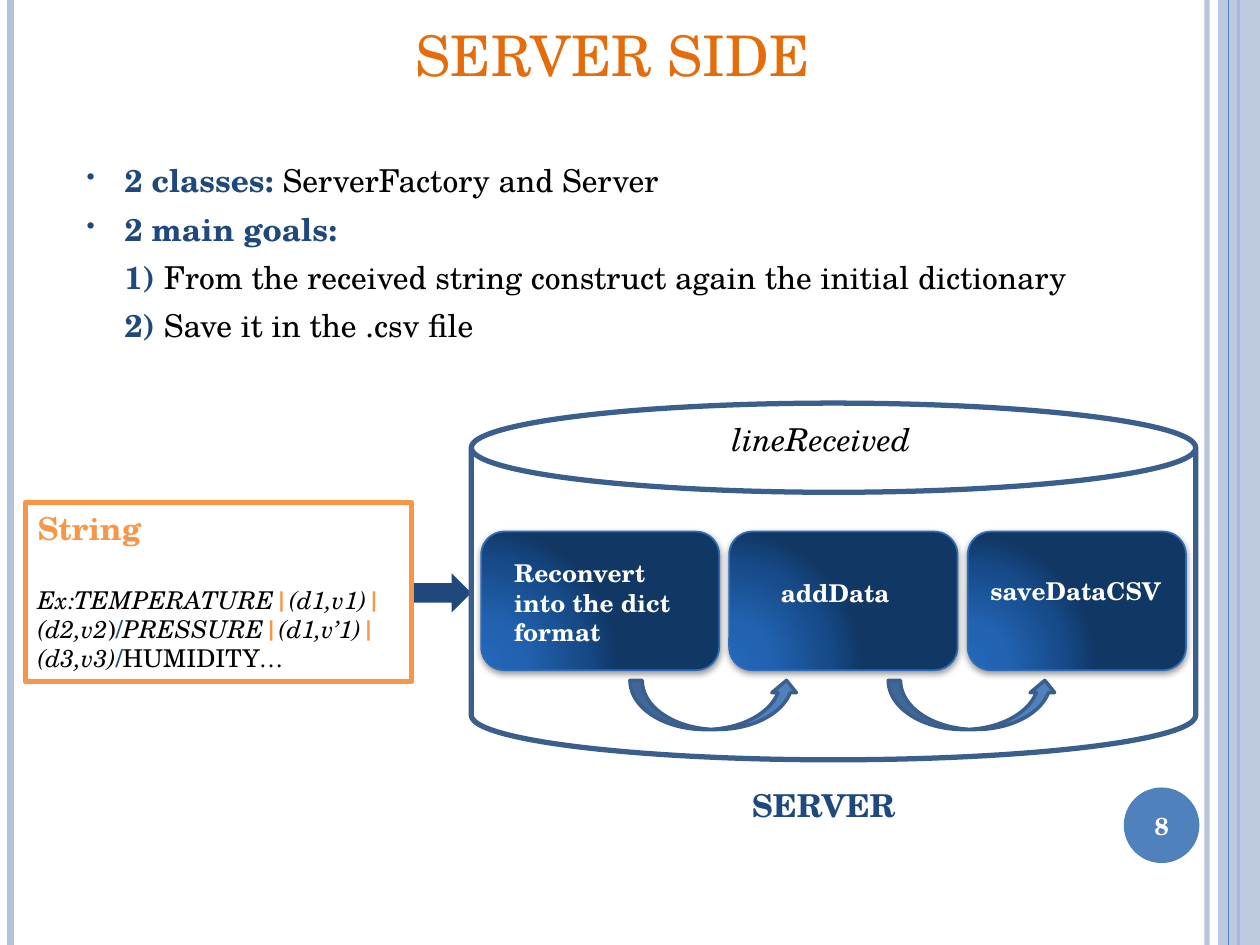
from dataclasses import dataclass
from typing import Optional

from lxml.etree import SubElement
from pptx import Presentation
from pptx.dml.color import RGBColor
from pptx.enum.shapes import MSO_CONNECTOR, MSO_SHAPE as Shape
from pptx.enum.text import MSO_ANCHOR as Anchor, PP_ALIGN as Align
from pptx.oxml.ns import qn
from pptx.util import Pt

FONT = "TeX Gyre Schola"
NAVY = RGBColor(0x1F, 0x49, 0x7D)
BLUE = RGBColor(0x4F, 0x81, 0xBD)
OUTLINE = RGBColor(0x3A, 0x5F, 0x8C)
PALE = RGBColor(0xB3, 0xC1, 0xDB)
STEP_EDGE = RGBColor(0x2C, 0x6C, 0xB9)
ORANGE = RGBColor(0xF7, 0x96, 0x46)
TITLE_ORANGE = RGBColor(0xE4, 0x6C, 0x0A)
BLACK = RGBColor(0, 0, 0)
WHITE = RGBColor(0xFF, 0xFF, 0xFF)
STEP_GRADIENT = ((0, "2367B8"), (30, "2263B1"), (75, "164A88"), (100, "113765"))
DEFAULT_INSETS = (7.2, 3.6, 7.2, 3.6)


@dataclass(frozen=True)
class Span:
    text: str
    color: RGBColor = BLACK
    bold: bool = False
    italic: bool = False


@dataclass(frozen=True)
class Rule:
    x: float
    width: float
    color: RGBColor
    opacity: int = 100


@dataclass(frozen=True)
class Step:
    left: float
    width: float
    lines: tuple
    insets: tuple


RULES = (Rule(689.8, 3, PALE, 93), Rule(6, 4.5, PALE), Rule(707.8, 1.5, BLUE))
STRIP_RULE = Rule(702, 0.75, BLUE)
STEPS = (
    Step(275, 136, ("Reconvert into the dict", "format"), (14.9, 11.5, 9, 0)),
    Step(416.7, 130.5, ("addData",), (25.7, 22.9, 0, 0)),
    Step(553, 124.7, ("saveDataCSV",), (9.1, 21.6, 0, 0)),
)
BAR = Span("|", ORANGE, bold=True)
SLASH = Span("/", NAVY, bold=True)
EXAMPLE = (
    Span("Ex:TEMPERATURE", italic=True), BAR, Span("(d1,v1)", italic=True), BAR,
    Span("(d2,v2", italic=True), Span(")"), SLASH, Span("PRESSURE", italic=True),
    BAR, Span("(d1,v’1)", italic=True), BAR,
)
EXAMPLE_END = (Span("(d3,v3)", italic=True), SLASH, Span("HUMIDITY"),
               Span("…", italic=True))


def set_opacity(parent, percent: int) -> None:
    for color in parent.iter(qn("a:srgbClr")):
        SubElement(color, qn("a:alpha"), val=str(percent * 1000))


def draw_rule(slide, rule: Rule) -> None:
    line = slide.shapes.add_connector(
        MSO_CONNECTOR.STRAIGHT, Pt(rule.x), Pt(0), Pt(rule.x), Pt(540))
    line.line.color.rgb = rule.color
    line.line.width = Pt(rule.width)
    props = line._element.spPr
    if rule.opacity < 100:
        set_opacity(props, rule.opacity)
    SubElement(props, qn("a:effectLst"))


def draw_shape(slide, kind, left: float, top: float, width: float, height: float,
               fill: Optional[RGBColor] = None, edge: Optional[RGBColor] = None,
               weight: float = 1):
    shape = slide.shapes.add_shape(kind, Pt(left), Pt(top), Pt(width), Pt(height))
    shape.shadow.inherit = False
    if fill is None:
        shape.fill.background()
    else:
        shape.fill.solid()
        shape.fill.fore_color.rgb = fill
    if edge is None:
        shape.line.fill.background()
    else:
        shape.line.color.rgb = edge
        shape.line.width = Pt(weight)
    return shape


def write(frame, spans, size: float, align=Align.LEFT, first=False,
          before: float = 0, indent: float = 0, bullet: bool = False) -> None:
    """Add one paragraph to the frame, or fill its first one."""
    paragraph = frame.paragraphs[0] if first else frame.add_paragraph()
    paragraph.alignment = align
    paragraph.space_before = Pt(before)
    for span in spans:
        run = paragraph.add_run()
        run.text = span.text
        font = run.font
        font.name, font.size = FONT, Pt(size)
        font.bold, font.italic = span.bold, span.italic
        font.color.rgb = span.color
    props = paragraph._p.get_or_add_pPr()
    if indent:
        props.set("marL", str(Pt(indent)))
        props.set("indent", str(-Pt(indent) if bullet else 0))
    if bullet:
        SubElement(SubElement(props, qn("a:buClr")), qn("a:srgbClr"), val=str(NAVY))
        SubElement(props, qn("a:buSzPct"), val="77000")
        SubElement(props, qn("a:buChar"), char="•")


def format_frame(frame, anchor=Anchor.TOP, insets=DEFAULT_INSETS):
    frame.word_wrap = True
    frame.vertical_anchor = anchor
    (frame.margin_left, frame.margin_top,
     frame.margin_right, frame.margin_bottom) = map(Pt, insets)
    return frame


def add_text(slide, left: float, top: float, width: float, height: float):
    box = slide.shapes.add_textbox(Pt(left), Pt(top), Pt(width), Pt(height))
    return format_frame(box.text_frame)


def draw_step(slide, step: Step) -> None:
    card = draw_shape(slide, Shape.ROUNDED_RECTANGLE, step.left, 303.8, step.width,
                      79.2, NAVY, STEP_EDGE)
    props = card._element.spPr
    solid = props.find(qn("a:solidFill"))
    gradient = props.makeelement(qn("a:gradFill"), {"rotWithShape": "1"})
    props.replace(solid, gradient)
    stops = SubElement(gradient, qn("a:gsLst"))
    for position, color in STEP_GRADIENT:
        stop = SubElement(stops, qn("a:gs"), pos=str(position * 1000))
        SubElement(stop, qn("a:srgbClr"), val=color)
    glow = SubElement(gradient, qn("a:path"), {"path": "circle"})
    SubElement(glow, qn("a:fillToRect"), l="5000", t="100000", r="120000", b="10000")
    shadow = SubElement(props.find(qn("a:effectLst")), qn("a:outerShdw"),
                        blurRad=str(Pt(4)), dist=str(Pt(1.6)), dir="5400000",
                        rotWithShape="0")
    SubElement(shadow, qn("a:srgbClr"), val="000000")
    set_opacity(shadow, 42)
    frame = format_frame(card.text_frame, insets=step.insets)
    for number, line in enumerate(step.lines):
        write(frame, [Span(line, WHITE, bold=True)], 14, first=number == 0)


def draw_page_frame(slide) -> None:
    for rule in RULES:
        draw_rule(slide, rule)
    strip = draw_shape(slide, Shape.RECTANGLE, 696, 0, 24, 540, PALE)
    set_opacity(strip._element.spPr, 87)
    draw_rule(slide, STRIP_RULE)
    badge = draw_shape(slide, Shape.OVAL, 642.2, 450, 43.2, 43.2, BLUE)
    frame = format_frame(badge.text_frame, Anchor.MIDDLE, (0, 0, 0, 0))
    write(frame, [Span("8", WHITE, bold=True)], 14, Align.CENTER, first=True)


def draw_goals(slide) -> None:
    goals = add_text(slide, 42.5, 88.6, 588.2, 120)
    rows = (
        ("2 classes: ", "ServerFactory and Server", True),
        ("2 main goals:", "", True),
        ("1) ", "From the received string construct again the initial dictionary", False),
        ("2) ", "Save it in the .csv file", False),
    )
    for number, (lead, rest, bullet) in enumerate(rows):
        spans = [Span(lead, NAVY, bold=True)] + ([Span(rest)] if rest else [])
        write(goals, spans, 18, first=number == 0, before=6, indent=21.6, bullet=bullet)


def draw_server(slide) -> None:
    draw_shape(slide, Shape.RIGHT_ARROW, 235.4, 327.6, 33.9, 22.3, NAVY)
    message = draw_shape(slide, Shape.RECTANGLE, 14.4, 287.3, 221, 102.2,
                         edge=ORANGE, weight=3)
    frame = format_frame(message.text_frame, insets=(7.2, 3.6, 12.9, 3.6))
    write(frame, [Span("String", ORANGE, bold=True)], 18, first=True)
    write(frame, EXAMPLE, 14, before=21.6)
    write(frame, EXAMPLE_END, 14)

    draw_shape(slide, Shape.CAN, 269.3, 230.4, 414, 203.8, edge=OUTLINE, weight=3)
    for step in STEPS:
        draw_step(slide, step)
    for left in (360, 507.6):
        draw_shape(slide, Shape.CURVED_UP_ARROW, left, 388.8, 96.5, 28.1,
                   BLUE, OUTLINE, 2)
    write(add_text(slide, 411.1, 236.2, 124.6, 28.8),
          [Span("lineReceived", italic=True)], 18, first=True)
    write(add_text(slide, 422.6, 445.7, 102.2, 28.8),
          [Span("SERVER", NAVY, bold=True)], 18, first=True)


def main() -> None:
    deck = Presentation()
    deck.slide_width, deck.slide_height = Pt(720), Pt(540)
    slide = deck.slides.add_slide(deck.slide_layouts[5])
    title = slide.shapes.title
    title.left, title.top, title.width, title.height = map(Pt, (144.7, 7.9, 411.1, 46.1))
    write(format_frame(title.text_frame), [Span("SERVER SIDE", TITLE_ORANGE)], 32,
          Align.CENTER, first=True)
    draw_page_frame(slide)
    draw_goals(slide)
    draw_server(slide)
    deck.save("out.pptx")


if __name__ == "__main__":
    main()
